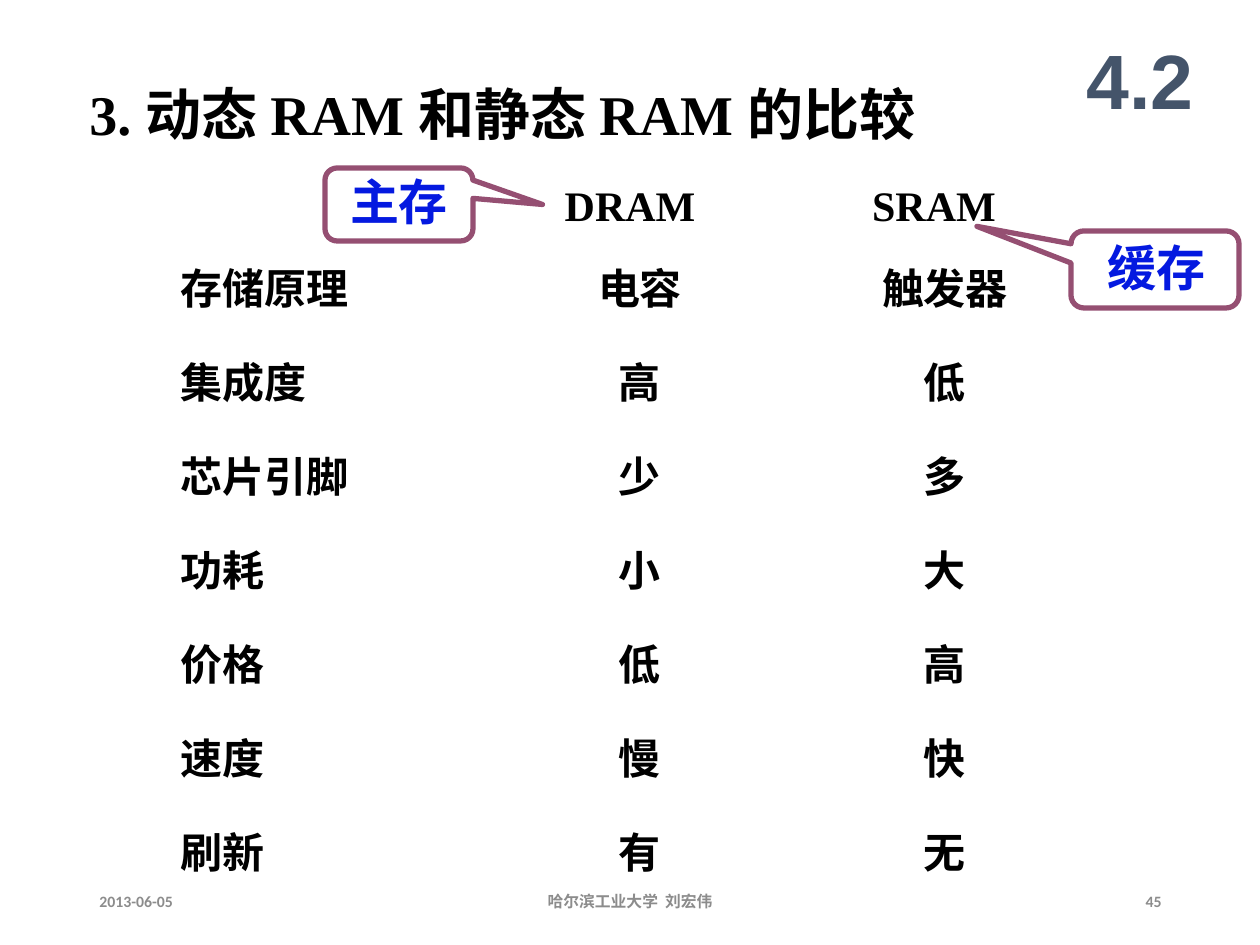
"""Build the slide comparing dynamic and static RAM."""
from pptx import Presentation
from pptx.dml.color import RGBColor
from pptx.enum.shapes import MSO_SHAPE
from pptx.enum.text import MSO_ANCHOR, PP_ALIGN
from pptx.util import Pt

SCALE = 914400 // 126
COLORS = {"text": "000000", "label": "0419E0", "callout": "954F72",
          "section": "44546A", "footer": "8C8C8C"}
LEFT, CENTER, RIGHT = PP_ALIGN.LEFT, PP_ALIGN.CENTER, PP_ALIGN.RIGHT

deck = Presentation()
deck.slide_width, deck.slide_height = 1260 * SCALE, 945 * SCALE
page = deck.slides.add_slide(deck.slide_layouts[6])


def add_text(text, place, size=24, color="text", align=CENTER,
             font="Times New Roman", anchor=MSO_ANCHOR.TOP):
    box = page.shapes.add_textbox(*[length * SCALE for length in place])
    frame = box.text_frame
    frame.word_wrap = True
    frame.vertical_anchor = anchor
    para = frame.paragraphs[0]
    para.text = text
    para.alignment = align
    para.font.name = font
    para.font.size = Pt(size)
    para.font.bold = True
    para.font.color.rgb = RGBColor.from_string(COLORS[color])


add_text(" 3. 动态 RAM 和静态 RAM 的比较", (63, 73, 945, 79), 32, align=LEFT)

for heading, left in (("DRAM", 462), ("SRAM", 766)):
    add_text(heading, (left, 173, 336, 63))

rows = [
    ("存储原理", "电容", "触发器"),
    ("集成度", "高", "低"),
    ("芯片引脚", "少", "多"),
    ("功耗", "小", "大"),
    ("价格", "低", "高"),
    ("速度", "慢", "快"),
    ("刷新", "有", "无"),
]
columns = [(168, LEFT), (472, CENTER), (777, CENTER)]
for index, row in enumerate(rows):
    for text, (left, align) in zip(row, columns):
        add_text(text, (left, 256 + 94 * index, 336, 63), align=align)

callouts = [
    ("主存", (325, 168, 148, 73), (0.97, 0), (334, 165, 130, 72)),
    ("缓存", (1071, 231, 168, 77), (-1.06, -0.56), (1091, 231, 131, 72)),
]
for label, place, tip, label_place in callouts:
    callout = page.shapes.add_shape(MSO_SHAPE.ROUNDED_RECTANGULAR_CALLOUT,
                                    *[length * SCALE for length in place])
    callout.shadow.inherit = False
    callout.fill.background()
    callout.line.color.rgb = RGBColor.from_string(COLORS["callout"])
    callout.line.width = Pt(3)
    callout.adjustments[0], callout.adjustments[1] = tip
    add_text(label, label_place, 28, "label")

add_text("4.2", (1061, 21, 158, 116), 44, "section", font="Arial",
         anchor=MSO_ANCHOR.MIDDLE)

footers = [("2013-06-05", 87, 284, LEFT),
           ("哈尔滨工业大学  刘宏伟", 417, 426, CENTER),
           ("45", 890, 284, RIGHT)]
for text, left, width, align in footers:
    add_text(text, (left, 876, width, 50), 9, "footer", align, "Calibri",
             MSO_ANCHOR.MIDDLE)

deck.save("out.pptx")
